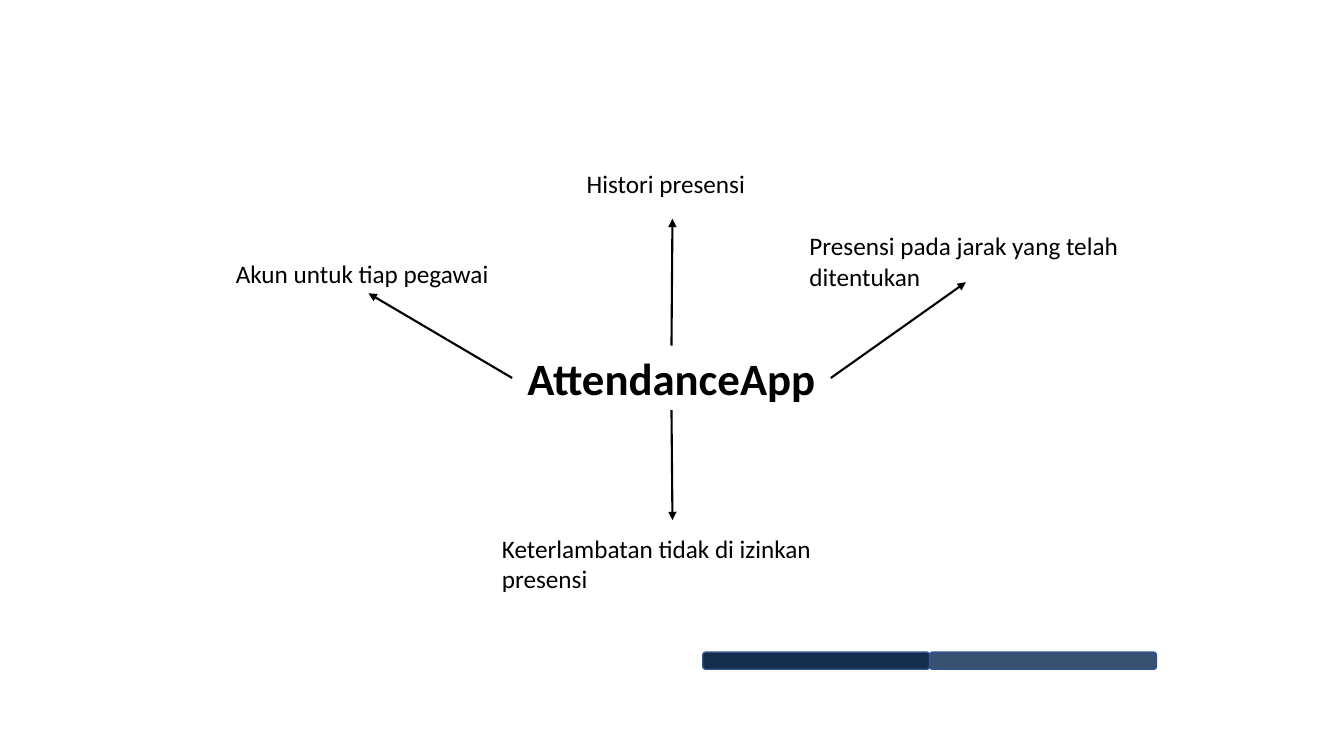
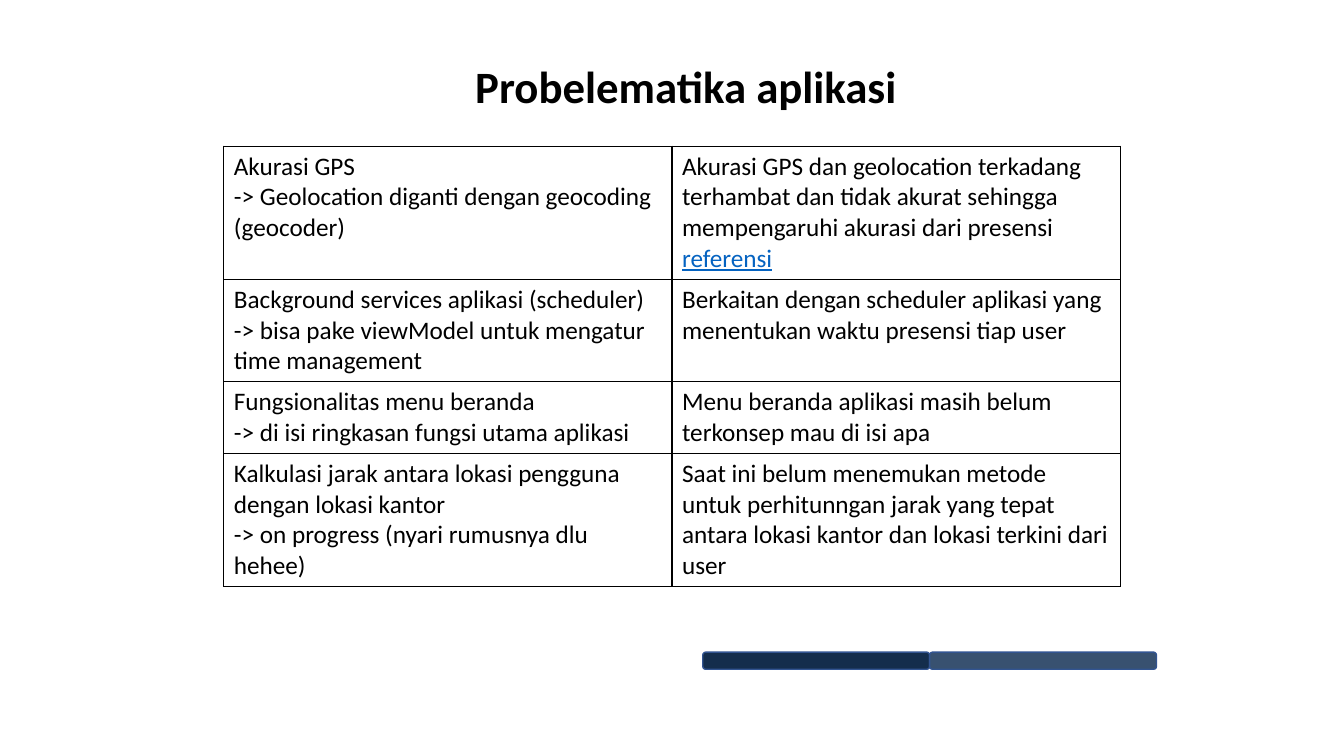
from lxml.etree import SubElement
from pptx import Presentation
from pptx.dml.color import RGBColor
from pptx.enum.shapes import MSO_CONNECTOR, MSO_SHAPE
from pptx.enum.text import MSO_ANCHOR, MSO_AUTO_SIZE, PP_ALIGN
from pptx.oxml import parse_xml
from pptx.oxml.ns import nsdecls, qn
from pptx.util import Inches, Pt

BLACK = RGBColor(0x00, 0x00, 0x00)
NAVY = RGBColor(0x14, 0x2D, 0x4C)
SLATE = RGBColor(0x38, 0x51, 0x70)
BAR_LINE = RGBColor(0x32, 0x54, 0x91)
LINK_BLUE = RGBColor(0x05, 0x63, 0xC1)
FONT = "Calibri"
LINK_TEXT = "referensi"

FEATURES = [
    ("Akun untuk tiap pegawai", (0, 0.89, 2.83, 0.4), 1, (1.41, 1.3)),
    ("Histori presensi", (3.48, 0, 1.89, 0.4), 0, (4.43, 0.55)),
    ("Presensi pada jarak yang telah ditentukan", (5.69, 0.62, 3.62, 0.71), 3, (7.34, 1.18)),
    ("Keterlambatan tidak di izinkan presensi", (2.64, 3.62, 3.57, 0.71), 2, (4.43, 3.54)),
]

PROBLEMS = [
    ("Akurasi GPS\n-> Geolocation diganti dengan geocoding (geocoder)",
     "Akurasi GPS dan geolocation terkadang terhambat dan tidak akurat sehingga "
     "mempengaruhi akurasi dari presensi\n" + LINK_TEXT),
    ("Background services aplikasi (scheduler)\n"
     "-> bisa pake viewModel untuk mengatur time management",
     "Berkaitan dengan scheduler aplikasi yang menentukan waktu presensi tiap user"),
    ("Fungsionalitas menu beranda\n-> di isi ringkasan fungsi utama aplikasi",
     "Menu beranda aplikasi masih belum terkonsep mau di isi apa"),
    ("Kalkulasi jarak antara lokasi pengguna dengan lokasi kantor\n"
     "-> on progress (nyari rumusnya dlu hehee)",
     "Saat ini belum menemukan metode untuk perhitunngan jarak yang tepat "
     "antara lokasi kantor dan lokasi terkini dari user"),
]
ROW_HEIGHTS = [1.3, 1.0, 0.7, 1.3]


def format_text(tf, size=18, bold=False):
    """Apply the deck's font to every run of a text frame."""
    for p in tf.paragraphs:
        for r in p.runs:
            r.font.name = FONT
            r.font.size = Pt(size)
            r.font.bold = bold
            r.font.color.rgb = BLACK


def add_bars(slide, left, top, width, height):
    """Draw the two-tone footer bar in the given box."""
    group = slide.shapes.add_group_shape()
    half = width / 2
    for i, color in enumerate((NAVY, SLATE)):
        sp = group.shapes.add_shape(MSO_SHAPE.ROUNDED_RECTANGLE, Inches(left + i * half),
                                    Inches(top), Inches(half), Inches(height))
        sp.shadow.inherit = False
        sp.fill.solid()
        sp.fill.fore_color.rgb = color
        sp.line.color.rgb = BAR_LINE
        sp.line.width = Pt(1)


def add_slide(prs, title, left, top, width, height):
    """Add a slide with the footer bar and a title in the given box."""
    slide = prs.slides.add_slide(prs.slide_layouts[5])
    add_bars(slide, 6.97, 6.47, 4.5, 0.17)
    sp = slide.shapes.title
    sp.left, sp.top, sp.width, sp.height = map(Inches, (left, top, width, height))
    tf = sp.text_frame
    tf.text = title
    tf.word_wrap = False
    tf.auto_size = MSO_AUTO_SIZE.NONE
    tf.vertical_anchor = MSO_ANCHOR.MIDDLE
    tf.paragraphs[0].alignment = PP_ALIGN.CENTER
    format_text(tf, 32, True)
    return slide


def add_label(slide, text, left, top, width, height):
    """Add a feature label in the given box."""
    sp = slide.shapes.add_textbox(*map(Inches, (left, top, width, height)))
    tf = sp.text_frame
    tf.text = text
    tf.word_wrap = height > 0.4
    format_text(tf)
    return sp


def add_arrow(slide, hub, side, x, y):
    """Draw an arrow from one side of the hub to a point."""
    line = slide.shapes.add_connector(MSO_CONNECTOR.STRAIGHT, hub.left, hub.top,
                                      Inches(x), Inches(y))
    line.begin_connect(hub, side)
    line.line.color.rgb = BLACK
    line.line.width = Pt(1.5)
    SubElement(line.line._get_or_add_ln(), qn("a:tailEnd"), type="triangle")
    SubElement(line._element.spPr, qn("a:effectLst"))
    return line


def add_features(slide, left, top):
    """Place the feature labels and their arrows around the title."""
    hub = slide.shapes.title
    for text, (x, y, w, h), side, (end_x, end_y) in FEATURES:
        label = add_label(slide, text, left + x, top + y, w, h)
        line = add_arrow(slide, hub, side, left + end_x, top + end_y)
        if side == 1:
            line.end_connect(label, 2)


def format_cell(cell, text):
    """Fill a cell with text and give it plain black borders."""
    cell.text = text
    format_text(cell.text_frame)
    for p in cell.text_frame.paragraphs:
        if p.text == LINK_TEXT:
            p.runs[0].font.color.rgb = LINK_BLUE
            p.runs[0].font.underline = True
    cell.fill.background()
    tc_pr = cell._tc.get_or_add_tcPr()
    for i, side in enumerate(("lnL", "lnR", "lnT", "lnB")):
        tc_pr.insert(i, parse_xml(
            f'<a:{side} {nsdecls("a")} w="{Pt(1)}"><a:solidFill>'
            f'<a:srgbClr val="{BLACK}"/></a:solidFill></a:{side}>'))


def add_problems(slide, left, top, width, height):
    """Place the problem table in the given box."""
    table = slide.shapes.add_table(len(PROBLEMS), 2, Inches(left), Inches(top),
                                   Inches(width), Inches(height)).table
    table.first_row = False
    table.horz_banding = False
    for row, row_height, texts in zip(table.rows, ROW_HEIGHTS, PROBLEMS):
        row.height = Inches(row_height)
        for cell, text in zip(row.cells, texts):
            format_cell(cell, text)


def main():
    """Build and save the deck."""
    prs = Presentation()
    prs.slide_width, prs.slide_height = Inches(13.33), Inches(7.5)
    slide = add_slide(prs, "AttendanceApp", 5.08, 3.43, 3.16, 0.64)
    add_features(slide, 2.24, 1.62)
    slide = add_slide(prs, "Probelematika aplikasi", 4.54, 0.53, 4.53, 0.64)
    slide.shapes.title.left = Inches(4.54)
    add_problems(slide, 2.22, 1.45, 8.89, sum(ROW_HEIGHTS))
    prs.save("out.pptx")


if __name__ == "__main__":
    main()
